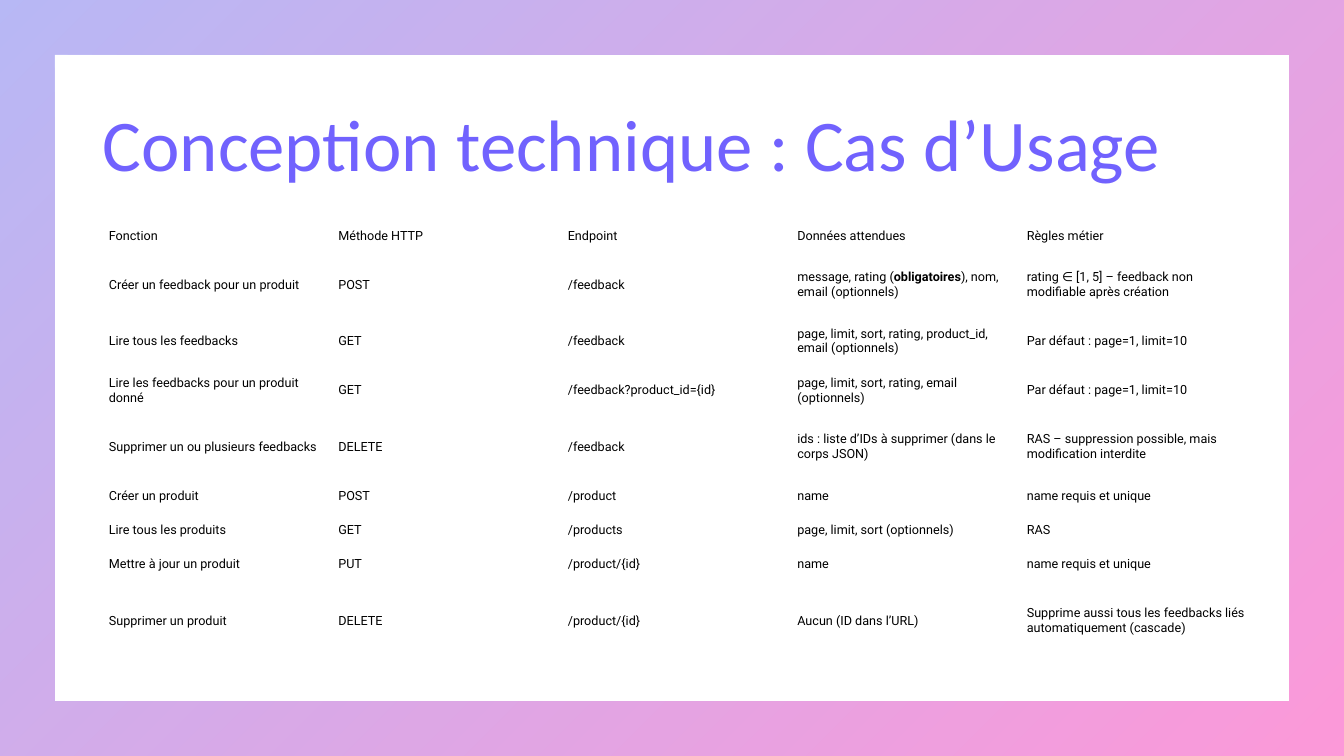
from pptx import Presentation
from pptx.dml.color import RGBColor
from pptx.enum.shapes import MSO_SHAPE as Shape
from pptx.enum.text import MSO_ANCHOR as Anchor
from pptx.oxml.ns import qn
from pptx.oxml.xmlchemy import OxmlElement
from pptx.util import Inches, Pt

BLUE = RGBColor(0x4D, 0x4E, 0xE6)
PINK = RGBColor(0xF9, 0x00, 0xA0)
VIOLET = RGBColor(0x71, 0x62, 0xFE)
BLACK = RGBColor(0x00, 0x00, 0x00)

COLUMN_WIDTH = 2.276
ROW_HEIGHTS = [0.34, 0.63, 0.49, 0.49, 0.63, 0.34, 0.34, 0.34, 0.78]
CELL_FORMAT = {
    "vertical_anchor": Anchor.MIDDLE,
    "margin_left": Inches(0.05),
    "margin_right": Inches(0.05),
    "margin_top": Inches(0.02),
    "margin_bottom": Inches(0.02),
}
# Text between asterisks is bold
USE_CASES = [
    ["Fonction", "Méthode HTTP", "Endpoint", "Données attendues", "Règles métier"],
    ["Créer un feedback pour un produit", "POST", "/feedback",
     "message, rating (*obligatoires*), nom, email (optionnels)",
     "rating ∈ [1, 5] – feedback non modifiable après création"],
    ["Lire tous les feedbacks", "GET", "/feedback",
     "page, limit, sort, rating, product_id, email (optionnels)",
     "Par défaut : page=1, limit=10"],
    ["Lire les feedbacks pour un produit donné", "GET", "/feedback?product_id={id}",
     "page, limit, sort, rating, email (optionnels)",
     "Par défaut : page=1, limit=10"],
    ["Supprimer un ou plusieurs feedbacks", "DELETE", "/feedback",
     "ids : liste d’IDs à supprimer (dans le corps JSON)",
     "RAS – suppression possible, mais modification interdite"],
    ["Créer un produit", "POST", "/product", "name", "name requis et unique"],
    ["Lire tous les produits", "GET", "/products", "page, limit, sort (optionnels)", "RAS"],
    ["Mettre à jour un produit", "PUT", "/product/{id}", "name", "name requis et unique"],
    ["Supprimer un produit", "DELETE", "/product/{id}", "Aucun (ID dans l’URL)",
     "Supprime aussi tous les feedbacks liés automatiquement (cascade)"],
]


def add_span(para, text, color, **font_format):
    span = para.add_run()
    span.text = text
    span.font.color.rgb = color
    for name, value in font_format.items():
        setattr(span.font, name, value)


deck = Presentation()
deck.slide_width, deck.slide_height = Inches(13.33), Inches(7.5)
page = deck.slides.add_slide(deck.slide_layouts[6])

# Translucent gradient frame
frame = page.shapes.add_shape(Shape.FRAME, 0, 0, deck.slide_width, deck.slide_height)
frame.adjustments[0] = 0.072
frame.shadow.inherit = False
frame.line.fill.background()
frame.fill.gradient()
frame.fill.gradient_angle = 315
for stop, color in zip(frame.fill.gradient_stops, [BLUE, PINK]):
    stop.color.rgb = color
for color_element in frame.element.spPr.iter(qn("a:srgbClr")):
    alpha = OxmlElement("a:alpha")
    alpha.set("val", "40000")
    color_element.append(alpha)

# Title
title_box = page.shapes.add_textbox(Inches(0.92), Inches(0.74), Inches(11.5), Inches(1.45))
title_box.text_frame.word_wrap = True
title_box.text_frame.vertical_anchor = Anchor.MIDDLE
title_para = title_box.text_frame.paragraphs[0]
title_para.line_spacing = 0.9
add_span(title_para, "Conception technique : Cas d’Usage", VIOLET, size=Pt(52), name="Calibri")

# Use case table
column_count = len(USE_CASES[0])
table = page.shapes.add_table(
    len(USE_CASES), column_count, Inches(1.03), Inches(2.17),
    Inches(COLUMN_WIDTH * column_count), Inches(sum(ROW_HEIGHTS)),
).table
table.first_row = False
table.horz_banding = False
for column in table.columns:
    column.width = Inches(COLUMN_WIDTH)

for row, height, texts in zip(table.rows, ROW_HEIGHTS, USE_CASES):
    row.height = Inches(height)
    for cell, text in zip(row.cells, texts):
        cell.fill.background()
        for name, value in CELL_FORMAT.items():
            setattr(cell, name, value)
        para = cell.text_frame.paragraphs[0]
        for index, part in enumerate(text.split("*")):
            add_span(para, part, BLACK, size=Pt(9), name="Roboto", bold=index % 2 == 1)

deck.save("out.pptx")
